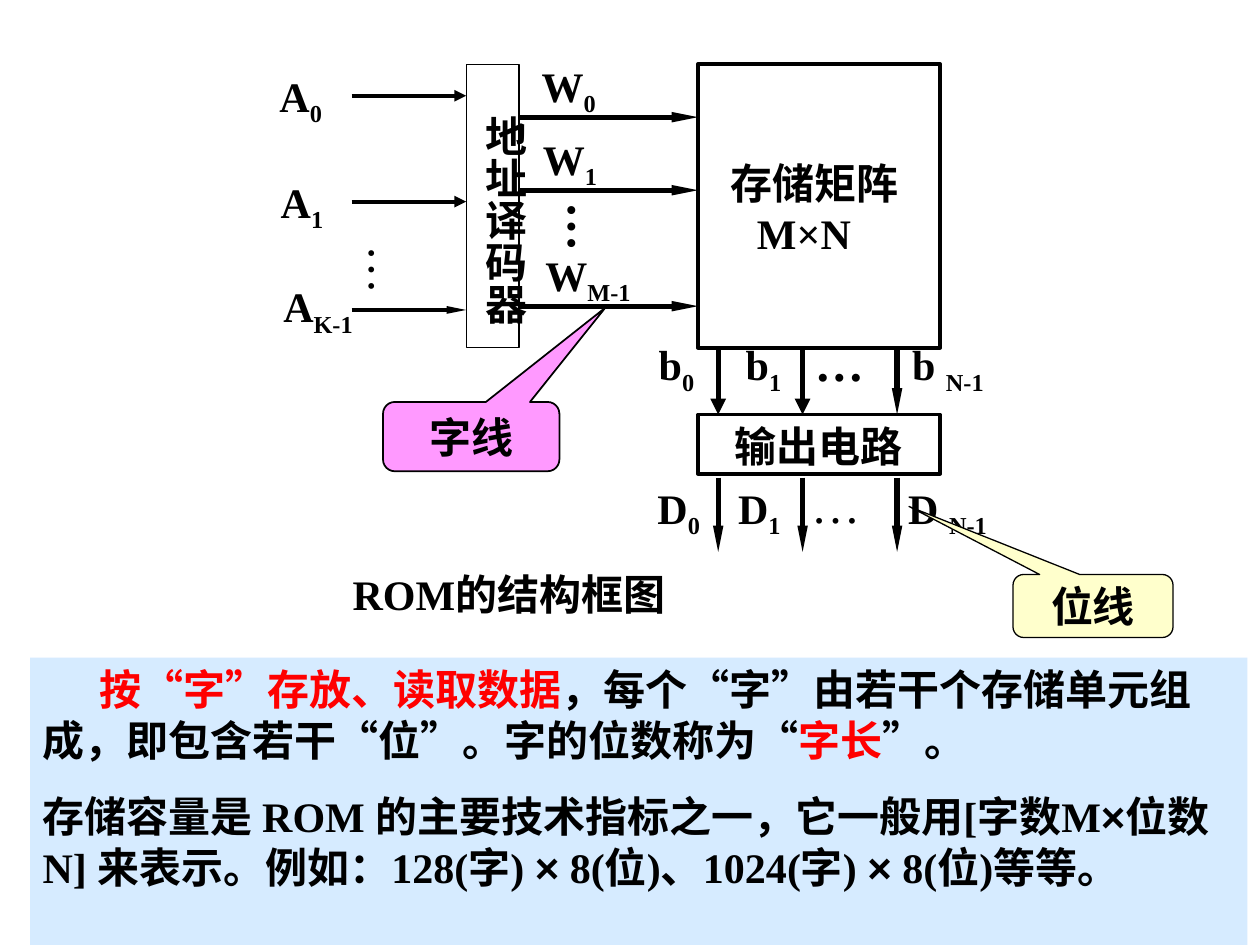
"""Build a slide with the block diagram of a ROM and notes on its capacity."""
import pptx
import pptx.util
import pptx.dml.color
import pptx.enum.shapes
import pptx.enum.text
import pptx.oxml.ns
import lxml.etree

COLS, ROWS = 100, 75
FONT, SANS = "Times New Roman", "Arial"
BLACK, RED = "000000", "FF0000"
KIND = pptx.enum.shapes.MSO_SHAPE
ALIGN = pptx.enum.text.PP_ALIGN
ANCHOR = pptx.enum.text.MSO_ANCHOR

MATRIX = (55.4, 5.1, 19.2, 22.5)
OUTPUT = (55.4, 32.9, 19.2, 4.7)
DECODER = (37, 5.1, 4.2, 22.5)
BOXES = [(MATRIX, 2.25), (OUTPUT, 2.25), (DECODER, 0.75)]

INPUT_ROWS = [(7.6, False), (16, False), (24.6, True)]
WORD_ROWS = [9.3, 15.1, 24.3]
BIT_COLS = [(57, False), (63.7, False), (71.2, True)]
INPUT_START, OUT_START, OUT_END = 27.9, 37.9, 43.8

LABELS = [
    (21.2, 5.1, "A", "0"), (21.3, 13.5, "A", "1"), (21.5, 21.8, "A", "K-1"),
    (42, 4.3, "W", "0"), (42.1, 10.1, "W", "1"), (42.3, 19.3, "W", "M-1"),
    (51.3, 26.4, "b", "0"), (58.2, 26.4, "b", "1"), (71.4, 26.4, "b ", "N-1"),
    (51.2, 37.8, "D", "0"), (57.6, 37.8, "D", "1"), (71.1, 37.8, "D ", "N-1"),
]
DOTS = [
    ((42.9, 15.1, 6.6, 5), True, True), ((27.1, 18.5, 6.6, 5), False, True),
    ((63.7, 25.9, 6, 6), True, False), ((63.4, 37.2, 6, 6), False, False),
]
TITLES = [
    ((57.3, 32.9, 15.8, 5), "输出电路", False),
    ((36.6, 8.2, 6, 20), "地址译码器", True),
    ((27, 44.6, 47.5, 5), "ROM的结构框图", False),
]
CALLS = [
    ((30.4, 31.9, 14, 5.5), "字线", SANS, "FF99FF", 1, (0.76, -1.86, 0.17)),
    ((80.4, 45.6, 12.7, 5), "位线", FONT, "FFFFCC", 0.75, (-1.15, -1.58, 0.17)),
]
NOTE = (2.4, 52.2, 96.6, 22.8)
NOTES = [
    [("按“字”存放、读取数据", {"color": RED}),
     ("，每个“字”由若干个存储单元组成，即包含若干“位”。字的位数称为“", {}),
     ("字长", {"color": RED}), ("”。", {})],
    [("存储容量是 ROM 的主要技术指标之一，它一般用[字数M", {}), ("×", {"face": SANS}),
     ("位数N] 来表示。例如：128(字) ", {}), ("×", {"face": SANS}),
     (" 8(位)、1024(字) ", {}), ("×", {"face": SANS}), (" 8(位)等等。", {})],
]

deck = pptx.Presentation()
deck.slide_width, deck.slide_height = pptx.util.Inches(10), pptx.util.Inches(7.5)
slide = deck.slides.add_slide(deck.slide_layouts[6])
shapes = slide.shapes


def grid(*spots):
    """Turn columns and rows, in turn, into slide lengths."""
    units = deck.slide_width / COLS, deck.slide_height / ROWS
    return [round(spot * units[i % 2]) for i, spot in enumerate(spots)]


def paint(code):
    """Make a colour from a hex string."""
    return pptx.dml.color.RGBColor.from_string(code)


def write(para, text, size=24, color=BLACK, bold=True, face=FONT, sub=False):
    """Add one run to a paragraph."""
    run = para.add_run()
    run.text = text
    font = run.font
    font.size, font.bold, font.name = pptx.util.Pt(size), bold, face
    font.color.rgb = paint(color)
    if sub:
        run._r.get_or_add_rPr().set("baseline", "-25000")


def block(kind, place, fill=None, width=None):
    """Add a preset shape and return it."""
    shape = shapes.add_shape(kind, *grid(*place))
    shape.shadow.inherit = False
    if fill:
        shape.fill.solid()
        shape.fill.fore_color.rgb = paint(fill)
    else:
        shape.fill.background()
    if width:
        shape.line.color.rgb = paint(BLACK)
        shape.line.width = pptx.util.Pt(width)
    else:
        shape.line.fill.background()
    return shape


def label(place, runs, wrap=True, upright=False):
    """Add a text box and return its paragraph."""
    box = shapes.add_textbox(*grid(*place))
    frame = box.text_frame
    frame.word_wrap = wrap
    if upright:
        box.element.txBody.bodyPr.set("vert", "eaVert")
        frame.margin_left = frame.margin_right = pptx.util.Inches(0.05)
        frame.margin_top = frame.margin_bottom = pptx.util.Inches(0.1)
    para = frame.paragraphs[0]
    for text, style in runs:
        write(para, text, **style)
    return para


def indent(para, left, first):
    """Set the left margin and first-line indent in inches."""
    props = para._p.get_or_add_pPr()
    props.set("marL", str(pptx.util.Inches(left)))
    props.set("indent", str(pptx.util.Inches(first)))


def arrow(start, end, width, slim=True):
    """Add a straight arrow with a slim or a regular head."""
    line = shapes.add_connector(
        pptx.enum.shapes.MSO_CONNECTOR.STRAIGHT, *grid(*start, *end))
    line.line.color.rgb = paint(BLACK)
    line.line.width = pptx.util.Pt(width)
    tag = pptx.oxml.ns.qn
    head = lxml.etree.SubElement(
        line.line._get_or_add_ln(), tag("a:tailEnd"), type="triangle")
    if slim:
        head.set("w", "sm")
        head.set("len", "lg")
    lxml.etree.SubElement(line.element.spPr, tag("a:effectLst"))


for place, width in BOXES:
    block(KIND.RECTANGLE, place, width=width)

for row, slim in INPUT_ROWS:
    arrow((INPUT_START, row), (DECODER[0], row), 2.25, slim)
for row in WORD_ROWS:
    arrow((DECODER[0] + DECODER[2], row), (MATRIX[0], row), 3)
for col, slim in BIT_COLS:
    arrow((col, MATRIX[1] + MATRIX[3]), (col, OUTPUT[1]), 3, slim)
    arrow((col, OUT_START), (col, OUT_END), 3)

core = label((57, 12, 16.7, 9), [("存储矩阵M×N", {})])
indent(core, 0.21, -0.21)
for place, text, upright in TITLES:
    label(place, [(text, {})], upright=upright)
for col, row, stem, sub in LABELS:
    label((col, row, 12, 5.6), [(stem, {}), (sub, {"sub": True})])
for place, bold, upright in DOTS:
    label(place, [("…", {"size": 28, "bold": bold})], upright=upright)

for place, text, face, fill, width, tips in CALLS:
    call = block(KIND.ROUNDED_RECTANGULAR_CALLOUT, place, fill, width)
    for i, tip in enumerate(tips):
        call.adjustments[i] = tip
    call.text_frame.vertical_anchor = ANCHOR.MIDDLE
    para = call.text_frame.paragraphs[0]
    para.alignment = ALIGN.CENTER
    write(para, text, face=face)

note = block(KIND.RECTANGLE, NOTE, "D6EBFF").text_frame
note.word_wrap = True
note.vertical_anchor = ANCHOR.TOP
note.margin_right = pptx.util.Inches(0.14)
for i, runs in enumerate(NOTES):
    para = note.add_paragraph() if i else note.paragraphs[0]
    para.alignment = ALIGN.LEFT
    if i:
        para.space_before = pptx.util.Pt(15)
    else:
        indent(para, 0, 0.45)
    for text, style in runs:
        write(para, text, **style)

deck.save("out.pptx")
